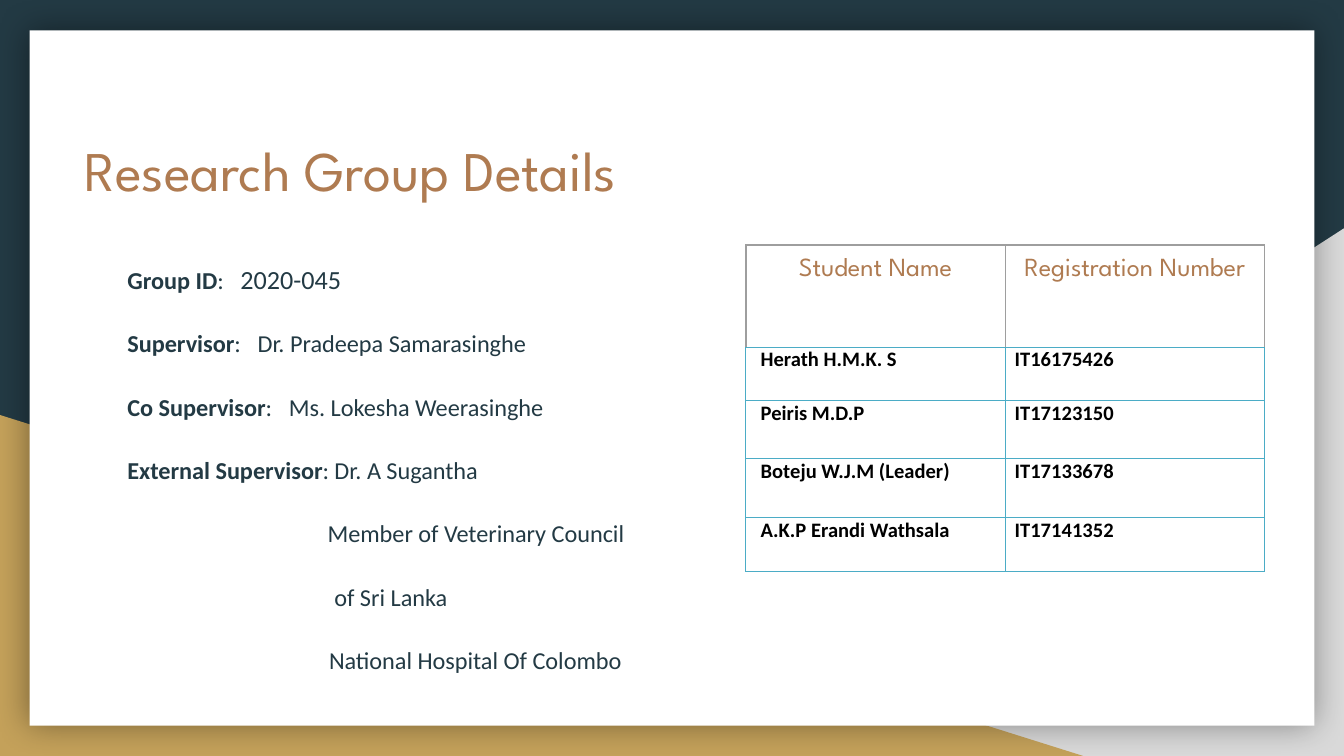
import pptx
import pptx.dml.color
import pptx.enum.shapes
import pptx.enum.text
import pptx.oxml
import pptx.oxml.ns
import pptx.util
import lxml.etree

RGB = pptx.dml.color.RGBColor
KIND = pptx.enum.shapes.MSO_SHAPE
ALIGN = pptx.enum.text.PP_ALIGN
Inches, Pt = pptx.util.Inches, pptx.util.Pt
qn = pptx.oxml.ns.qn

NAVY = RGB(0x23, 0x3A, 0x44)
GOLD = RGB(0xC4, 0xA1, 0x5A)
BROWN = RGB(0xAF, 0x7B, 0x51)
SILVER = RGB(0xD9, 0xD9, 0xD9)
GREY = RGB(0x9E, 0x9E, 0x9E)
BLUE = RGB(0x4B, 0xAC, 0xC6)
WHITE = RGB(0xFF, 0xFF, 0xFF)
BLACK = RGB(0, 0, 0)

HEAD, BODY = "League Spartan", "Calibri"
WIDE = 10
HIGH = WIDE * 9 / 16

# Label, value, value size, letter spacing of the gap between them (points)
FACTS = [
    ("Group ID", "2020-045", 14, 3),
    ("Supervisor", "Dr. Pradeepa Samarasinghe", 13, 3),
    ("Co Supervisor", "Ms. Lokesha Weerasinghe", 13, 3),
    ("External Supervisor", "Dr. A Sugantha", 13, 0),
]
# Line, indent (inches)
POSTS = [
    ("Member of Veterinary Council", 1.49),
    ("of Sri Lanka", 1.54),
    ("National Hospital Of Colombo", 1.5),
]
TITLES = ["Student Name", "Registration Number"]
TEAM = [
    ("Herath H.M.K. S", "IT16175426"),
    ("Peiris M.D.P", "IT17123150"),
    ("Boteju W.J.M (Leader)", "IT17133678"),
    ("A.K.P Erandi Wathsala", "IT17141352"),
]
ROWS = [0.76, 0.4, 0.43, 0.44, 0.4]


class Deck:
    """Style and current slide; boxes are (left, top, width, height) in percent."""

    def __init__(self):
        self.show = pptx.Presentation()
        self.show.slide_width = Inches(WIDE)
        self.show.slide_height = Inches(HIGH)
        self.slide = self.show.slides.add_slide(self.show.slide_layouts[6])
        self.slide.background.fill.solid()
        self.slide.background.fill.fore_color.rgb = NAVY

    def place(self, box):
        return [Inches(part * side / 100) for part, side in zip(box, (WIDE, HIGH) * 2)]

    def shape(self, kind, box, color, flip=False):
        shape = self.slide.shapes.add_shape(kind, *self.place(box))
        shape.shadow.inherit = False
        shape.fill.solid()
        shape.fill.fore_color.rgb = color
        shape.line.fill.background()
        if flip:
            shape.element.spPr.find(qn("a:xfrm")).set("flipH", "1")
        return shape

    def glow(self, shape):
        """Give the shape a soft, centred shadow."""
        effects = shape.element.spPr.find(qn("a:effectLst"))
        shade = lxml.etree.SubElement(effects, qn("a:outerShdw"), blurRad=str(Pt(18)),
                                      dist="0", dir="0", algn="ctr", rotWithShape="0")
        tint = lxml.etree.SubElement(shade, qn("a:srgbClr"), val=str(BLACK))
        lxml.etree.SubElement(tint, qn("a:alpha"), val="40000")

    def text(self, box):
        frame = self.slide.shapes.add_textbox(*self.place(box)).text_frame
        frame.word_wrap = True
        frame.margin_left = frame.margin_right = Inches(0.1)
        frame.margin_top = frame.margin_bottom = Inches(0.1)
        return frame

    def font(self, run, face, size, color, bold=False):
        run.font.name, run.font.size, run.font.bold = face, Pt(size), bold
        run.font.color.rgb = color

    def line(self, frame, parts, left=0):
        """Add a paragraph of (words, size, bold, letter spacing) parts."""
        first = not frame.paragraphs[0].runs
        para = frame.paragraphs[0] if first else frame.add_paragraph()
        para.line_spacing = 1.15
        para.space_before = Pt(0 if first else 16)
        props = para._p.get_or_add_pPr()
        props.set("marL", str(Inches(left)))
        props.set("indent", "0")
        for words, size, bold, gap in parts:
            run = para.add_run()
            run.text = words
            self.font(run, BODY, size, NAVY, bold)
            if gap:
                run.font._element.set("spc", str(gap * 100))

    def facts(self, box):
        frame = self.text(box)
        for label, value, size, gap in FACTS:
            self.line(frame, [(label, 13, True, 0), (": ", 13, False, gap),
                              (value, size, False, 0)])
        for words, left in POSTS:
            self.line(frame, [(words, 13, False, 0)], left)

    def edge(self, cell, lines):
        """Draw cell borders from (side, color, points) in the order L, R, T, B."""
        props = cell._tc.get_or_add_tcPr()
        for spot, (side, color, width) in enumerate(lines):
            line = lxml.etree.Element(qn("a:ln" + side), w=str(Pt(width)))
            fill = lxml.etree.SubElement(line, qn("a:solidFill"))
            lxml.etree.SubElement(fill, qn("a:srgbClr"), val=str(color))
            props.insert(spot, line)

    def cell(self, cell, words, head, first):
        cell.fill.background()
        side = 0.1 if head else 0.07
        cell.margin_left = Inches(side if head or not first else 0.11)
        cell.margin_right = Inches(side)
        cell.margin_top = cell.margin_bottom = Inches(0.1 if head else 0)
        cell.text_frame.text = words
        para = cell.text_frame.paragraphs[0]
        if head:
            para.alignment = ALIGN.CENTER
            self.font(para.runs[0], HEAD, 14, BROWN)
        else:
            para.alignment = ALIGN.LEFT if first else ALIGN.JUSTIFY
            self.font(para.runs[0], BODY, 11, BLACK, True)
        self.edge(cell, [(key, GREY, 0.75) if head and key != "B" else (key, BLUE, 0.5)
                         for key in "LRTB"])

    def table(self, box):
        data = [TITLES, *TEAM]
        grid = self.slide.shapes.add_table(len(data), len(TITLES), *self.place(box)).table
        grid.first_row = grid.horz_banding = False
        for row, high in zip(grid.rows, ROWS):
            row.height = Inches(high)
        for down, row in enumerate(data):
            for over, words in enumerate(row):
                self.cell(grid.cell(down, over), words, down == 0, over == 0)


def main():
    deck = Deck()
    deck.shape(KIND.RIGHT_TRIANGLE, (39.2, 30.2, 60.8, 69.8), SILVER, flip=True)
    deck.shape(KIND.RIGHT_TRIANGLE, (0, 54.9, 80.6, 45.1), GOLD)
    deck.glow(deck.shape(KIND.RECTANGLE, (2.2, 4, 95.6, 92), WHITE))

    title = deck.text((5.3, 16.2, 82.1, 18.5))
    title.text = "Research Group Details"
    deck.font(title.paragraphs[0].runs[0], HEAD, 30, BROWN)

    deck.table((55.5, 32.4, 38.6, 43.3))
    deck.facts((8.5, 32.4, 41, 57.4))
    deck.show.save("out.pptx")


if __name__ == "__main__":
    main()
